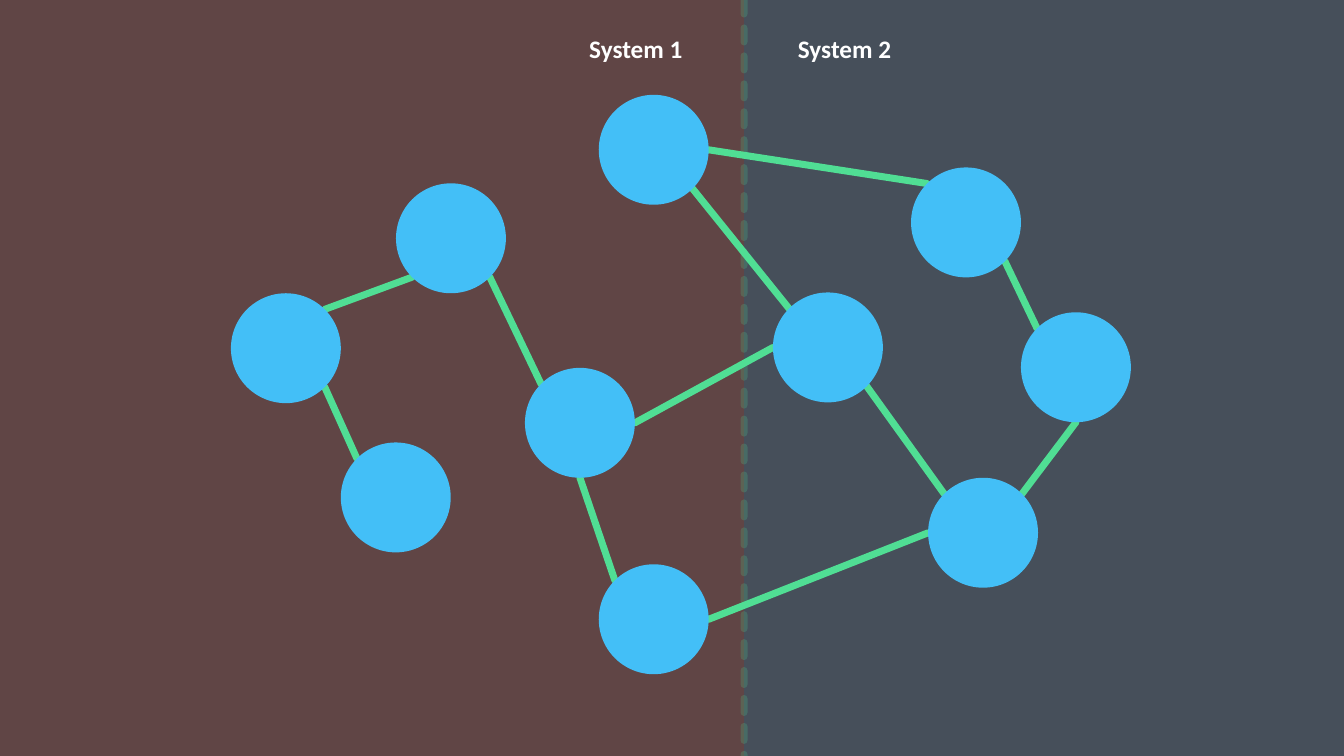
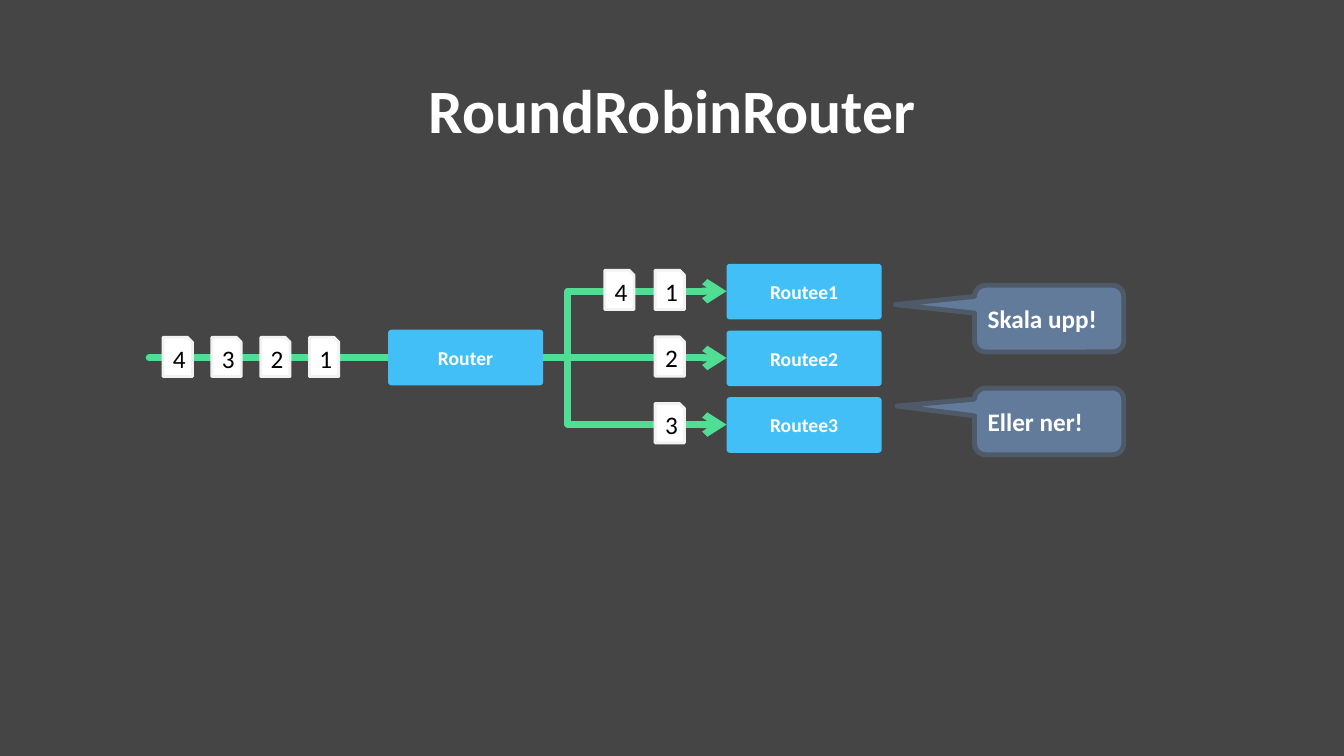
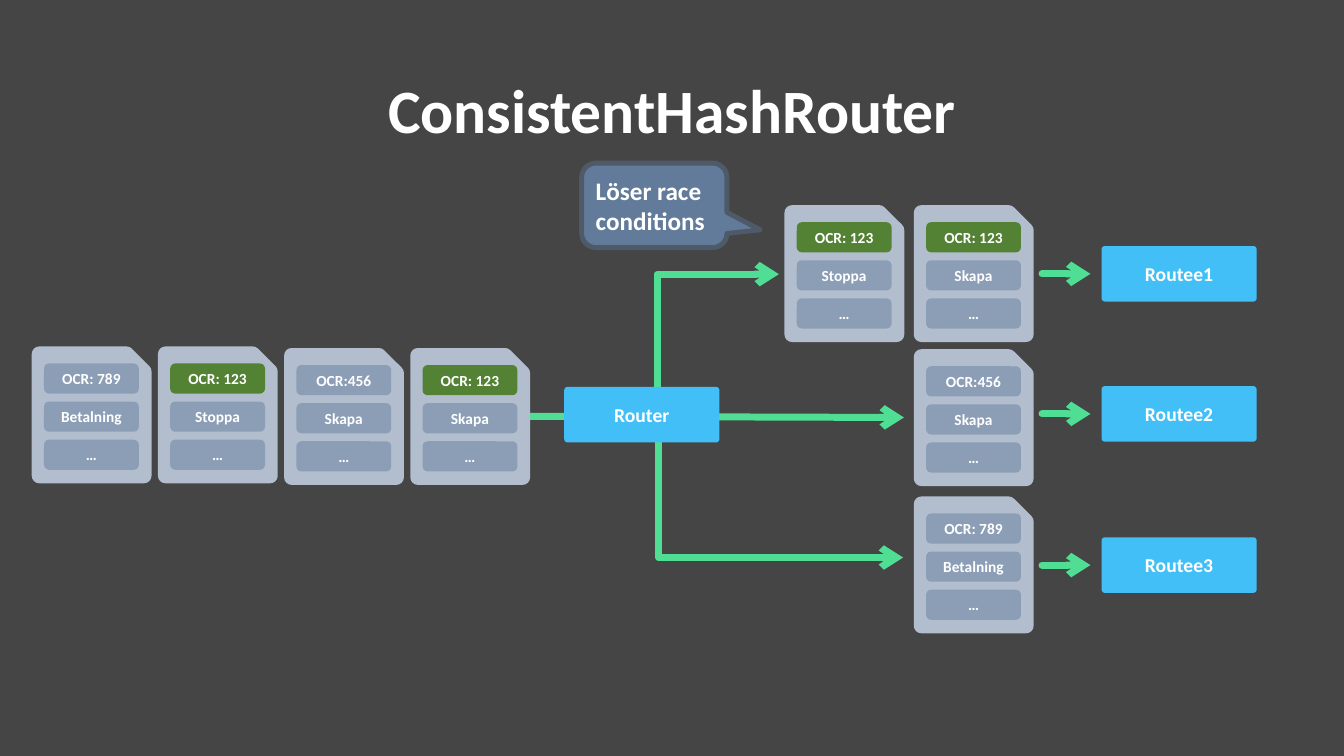
import math
import pptx
import pptx.util
import pptx.dml.color
import pptx.enum.shapes
import pptx.enum.text
import pptx.oxml.ns
from lxml import etree

Cm = pptx.util.Cm
Pt = pptx.util.Pt
RGB = pptx.dml.color.RGBColor.from_string
qn = pptx.oxml.ns.qn
Kind = pptx.enum.shapes.MSO_SHAPE
Wire = pptx.enum.shapes.MSO_CONNECTOR
Align = pptx.enum.text.PP_ALIGN
Anchor = pptx.enum.text.MSO_ANCHOR

FONT = "Calibri"
HUES = {
    "back": "454545", "red": "6E4545", "slate": "485970",
    "blue": "43BFF7", "green": "50DE94", "white": "FFFFFF",
    "black": "000000", "edge": "F2F2F2", "bubble": "637B9B",
    "rim": "4F5A69", "card": "B2BECE", "chip": "8C9EB6", "match": "548235",
}


def draw(slide, kind, area, fill=None, rim=None, width=0, adj=(), alpha=None,
         text="", size=14, bold=True, hue="white", align=Align.CENTER,
         anchor=Anchor.MIDDLE, wrap=True):
    """Add a preset shape, or a text box when kind is None; area is in cm."""
    area = [Cm(n) for n in area]
    if kind is None:
        shape = slide.shapes.add_textbox(*area)
    else:
        shape = slide.shapes.add_shape(kind, *area)
        shape.shadow.inherit = False
        shape.fill.solid()
        shape.fill.fore_color.rgb = RGB(HUES[fill])
        for n, part in enumerate(adj):
            shape.adjustments[n] = part
        if rim:
            shape.line.color.rgb = RGB(HUES[rim])
            shape.line.width = Pt(width)
            etree.SubElement(shape.line._get_or_add_ln(), qn("a:round"))
        else:
            shape.line.fill.background()
        if alpha:
            tone = shape._element.spPr.find(qn("a:solidFill"))[0]
            etree.SubElement(tone, qn("a:alpha"), val=str(alpha * 1000))
    if text:
        frame = shape.text_frame
        frame.word_wrap = wrap
        frame.vertical_anchor = anchor
        par = frame.paragraphs[0]
        par.alignment = align
        run = par.add_run()
        run.text = text
        run.font.name = FONT
        run.font.size = Pt(size)
        run.font.bold = bold
        run.font.color.rgb = RGB(HUES[hue])
    return shape


def link(slide, start, end, bend=None, arrow=False, dash=None, alpha=None):
    """Add a green line; bend is the share of its width where an elbow turns."""
    kind = Wire.STRAIGHT if bend is None else Wire.ELBOW
    wire = slide.shapes.add_connector(kind, *[Cm(n) for n in (*start, *end)])
    wire.line.color.rgb = RGB(HUES["green"])
    wire.line.width = Pt(5)
    props = wire._element.spPr
    line = props.find(qn("a:ln"))
    line.set("cap", "rnd")
    if alpha:
        tone = line.find(qn("a:solidFill"))[0]
        etree.SubElement(tone, qn("a:alpha"), val=str(alpha * 1000))
    if dash:
        etree.SubElement(line, qn("a:prstDash"), val=dash)
    etree.SubElement(line, qn("a:round"))
    if arrow:
        etree.SubElement(line, qn("a:tailEnd"), type="arrow")
    if bend is not None:
        turns = props.find(qn("a:prstGeom")).find(qn("a:avLst"))
        etree.SubElement(turns, qn("a:gd"), name="adj1",
                         fmla=f"val {round(bend * 100000)}")
    etree.SubElement(props, qn("a:effectLst"))


deck = pptx.Presentation()
deck.slide_width = Cm(33.87)
deck.slide_height = Cm(19.05)
back = deck.slide_master.background.fill
back.solid()
back.fore_color.rgb = RGB(HUES["back"])

slides = []
for title in ("", "RoundRobinRouter", "ConsistentHashRouter"):
    slide = deck.slides.add_slide(deck.slide_layouts[6])
    slides.append(slide)
    if title:
        head = draw(slide, None, (2.34, 1.02, 29.21, 3.68), text=title, size=44)
        head.text_frame.paragraphs[0].line_spacing = 0.9
graph, robin, hashed = slides

block = {"kind": Kind.ROUNDED_RECTANGLE, "fill": "blue", "adj": [0.06]}
bubble = {"kind": Kind.ROUNDED_RECTANGULAR_CALLOUT, "fill": "bubble",
          "rim": "rim", "width": 3.5, "size": 18, "align": Align.LEFT}
wide, high = 3.91, 1.4

# Slide 1: nodes split over two systems
split = 18.75
draw(graph, Kind.RECTANGLE, (split, 0, 33.87 - split, 19.05), "slate", alpha=50)
draw(graph, Kind.RECTANGLE, (0, 0, split, 19.05), "red", alpha=66)

girth = 2.77
nodes = {
    "A": (8.59, 11.15), "B": (5.82, 7.39), "C": (9.98, 4.62),
    "D": (13.23, 9.27), "E": (15.09, 14.22), "F": (19.48, 7.37),
    "G": (15.09, 2.39), "H": (22.96, 4.22), "I": (23.39, 12.04),
    "J": (25.73, 7.87),
}
# Each end is a node and the angle, clockwise from the right, of its rim point
pairs = [
    ("B", 315, "C", 135), ("C", 45, "D", 225), ("B", 45, "A", 225),
    ("D", 0, "F", 180), ("F", 45, "I", 225), ("I", 315, "J", 90),
    ("J", 225, "H", 45), ("G", 45, "F", 225), ("G", 0, "H", 225),
    ("D", 90, "E", 225), ("E", 0, "I", 180),
]
for one, out, two, into in pairs:
    ends = []
    for name, turn in ((one, out), (two, into)):
        x, y = nodes[name]
        turn = math.radians(turn)
        ends.append((x + girth / 2 * (1 + math.cos(turn)),
                     y + girth / 2 * (1 + math.sin(turn))))
    link(graph, *ends)
for x, y in nodes.values():
    draw(graph, Kind.OVAL, (x, y, girth, girth), "blue")
link(graph, (split, 0), (split, 19.05), dash="sysDash", alpha=20)
for x, text in ((14.6, "System 1"), (19.86, "System 2")):
    draw(graph, None, (x, 0.71, 2.87, 1.02), text=text, size=18,
         align=Align.LEFT, anchor=Anchor.TOP, wrap=False)

# Slide 2: messages dealt out in turn
step = 1.68
mid = 9.02
for row, bend in ((2, 0.135), (0, 0.135), (1, None)):
    link(robin, (13.69, mid), (18.31, mid + (row - 1) * step), bend, arrow=True)
link(robin, (3.76, mid), (9.78, mid))

pages = [(4.11 + 1.23 * n, 8.5, 4 - n) for n in range(4)]
pages += [(16.51, 6.81 + step * n, n + 1) for n in range(3)]
pages.append((15.24, 6.81, 4))
for x, y, num in pages:
    draw(robin, Kind.SNIP_1_RECTANGLE, (x, y, 0.74, 0.99), "white", "edge", 2,
         text=str(num), size=18, bold=False, hue="black")

draw(robin, area=(9.78, 8.31, wide, high), text="Router", **block)
for n in range(3):
    draw(robin, area=(18.31, 6.65 + step * n, wide, high),
         text=f"Routee{n + 1}", **block)
for y, text, tip in ((7.19, "Skala upp!", (-1.03, -0.21)),
                     (9.78, "Eller ner!", (-1.02, -0.23))):
    draw(robin, area=(24.56, y, 3.76, 1.68), adj=tip, text=text, **bubble)

# Slide 3: messages routed by their OCR number
hub = (13.34, 10.49)
for end, bend in (((22.78, 10.52), None), ((22.76, 14.05), 0.346),
                  ((19.63, 6.91), 0.512)):
    link(hashed, hub, end, bend, arrow=True)

jobs = [("OCR: 789", "Betalning"), ("OCR: 123", "Stoppa"),
        ("OCR:456", "Skapa"), ("OCR: 123", "Skapa")]
spots = [(0.99 + 3.18 * n, y) for n, y in enumerate((8.92, 8.92, 8.96, 8.96))]
sorts = [(23.22, 12.7), (19.96, 5.36), (23.22, 8.99), (23.22, 5.36)]
for (x, y), job in zip(spots + sorts, jobs * 2):
    draw(hashed, Kind.SNIP_1_RECTANGLE, (x, y, 2.64, 3.07), "card", "card", 10.75)
    for n, text in enumerate((*job, "…")):
        draw(hashed, Kind.ROUNDED_RECTANGLE,
             (x + 0.12, y + 0.24 + 0.96 * n, 2.39, 0.76),
             "match" if text == "OCR: 123" else "chip", text=text, size=11)

draw(hashed, area=(14.22, 9.75, wide, high), text="Router", **block)
for n, y in enumerate((6.2, 9.73, 13.54), 1):
    draw(hashed, area=(27.76, y, wide, high), text=f"Routee{n}", **block)
    link(hashed, (26.26, y + high / 2), (27.48, y + high / 2), arrow=True)
draw(hashed, area=(14.66, 4.11, 3.66, 2.13), adj=(0.73, 0.29),
     text="Löser race conditions", **bubble)

deck.save("out.pptx")
